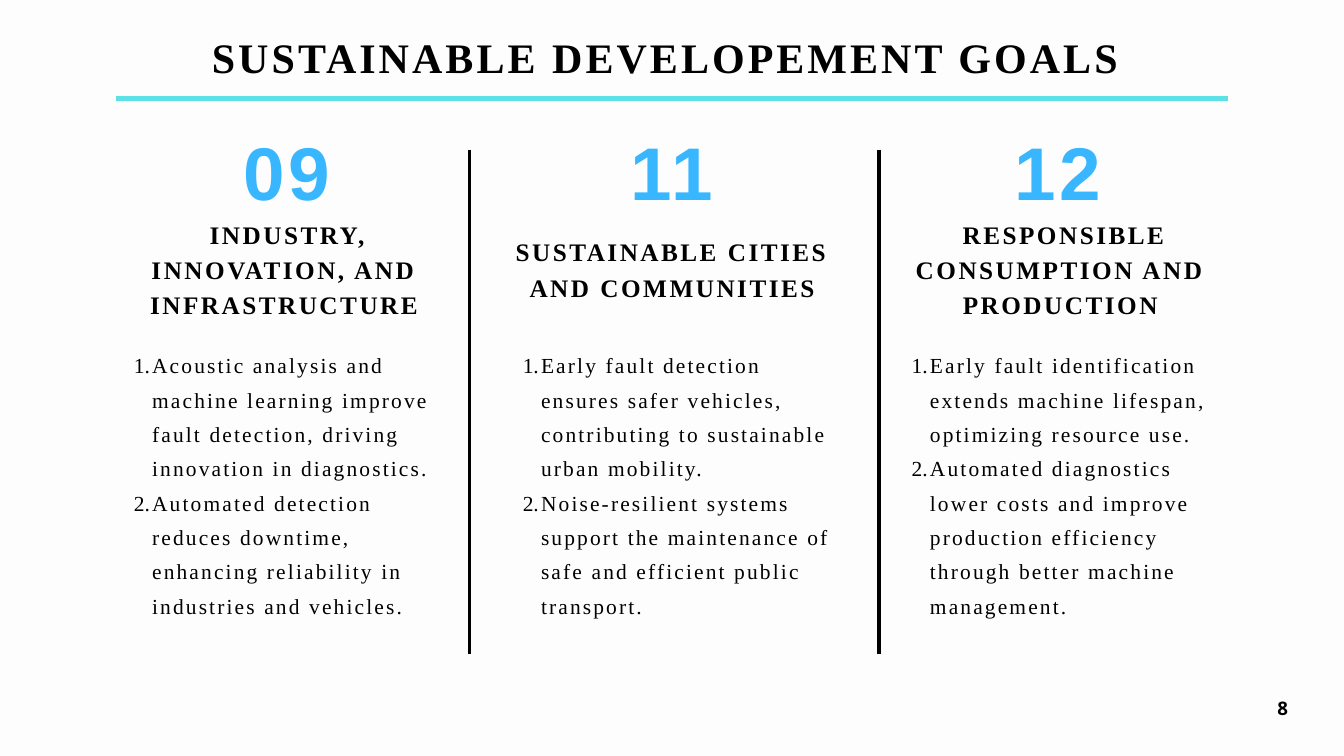
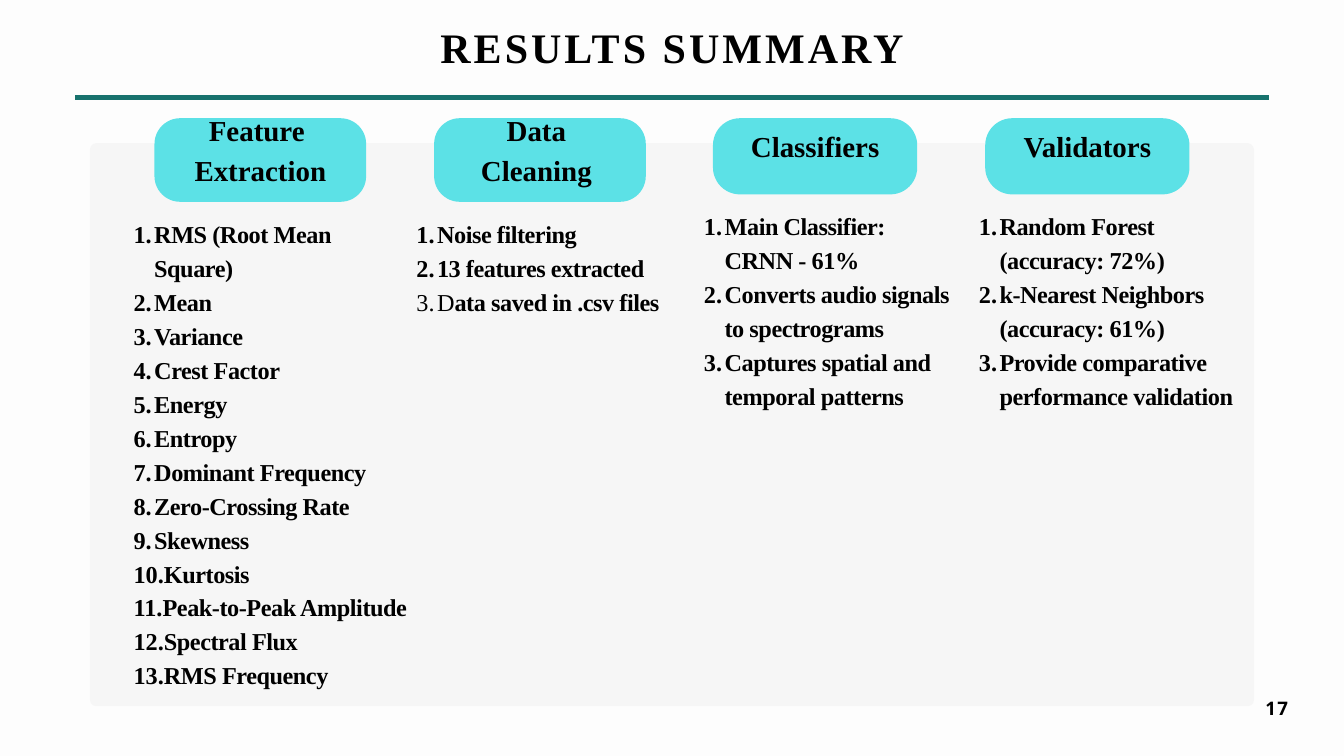
"""Builds the development goals slide and the results summary slide."""
from dataclasses import dataclass
from typing import Sequence

from lxml import etree
from pptx import Presentation
from pptx.dml.color import RGBColor
from pptx.enum.shapes import MSO_CONNECTOR, MSO_SHAPE
from pptx.enum.text import MSO_ANCHOR, MSO_AUTO_SIZE, PP_ALIGN
from pptx.oxml.ns import qn
from pptx.slide import Slide
from pptx.util import Cm, Pt

LEFT, CENTER, RIGHT = PP_ALIGN.LEFT, PP_ALIGN.CENTER, PP_ALIGN.RIGHT
TOP, MIDDLE = MSO_ANCHOR.TOP, MSO_ANCHOR.MIDDLE
GROW, FIXED = MSO_AUTO_SIZE.SHAPE_TO_FIT_TEXT, MSO_AUTO_SIZE.NONE
STRAIGHT = MSO_CONNECTOR.STRAIGHT
ROUNDED = MSO_SHAPE.ROUNDED_RECTANGLE

SERIF, SANS, PAGE_FONT = "Times New Roman", "Arial", "Open Sans"
BLACK, PAPER, PANEL = "000000", "FDFDFD", "F6F6F6"
AQUA, TEAL, SKY = "5CE1E6", "17726D", "38B6FF"

SLIDE_WIDTH, SLIDE_HEIGHT = 50.8, 28.58
PLAIN_MARK = "|"


@dataclass(frozen=True)
class Box:
    """Position and size in centimetres."""
    left: float
    top: float
    width: float
    height: float


@dataclass(frozen=True)
class Goal:
    """One development goal with its number, heading and reasons."""
    number: str
    heading: str
    heading_top: float
    heading_height: float
    reasons: tuple[str, ...]
    reasons_height: float


@dataclass(frozen=True)
class Stage:
    """One stage of the results with its pill and numbered list."""
    label: tuple[str, ...]
    pill: Box
    radius: float
    list_box: Box
    items: tuple[str, ...]


GOALS = (
    Goal("09", " INDUSTRY, INNOVATION, AND INFRASTRUCTURE", 8.1, 4.06, (
        "Acoustic analysis and machine learning improve fault detection, "
        "driving innovation in diagnostics.",
        "Automated detection reduces downtime, enhancing reliability in "
        "industries and vehicles."), 10.41),
    Goal("11", "SUSTAINABLE CITIES AND COMMUNITIES", 8.76, 2.74, (
        "Early fault detection ensures safer vehicles, contributing to "
        "sustainable urban mobility.",
        "Noise-resilient systems support the maintenance of safe and "
        "efficient public transport."), 11.71),
    Goal("12", " RESPONSIBLE CONSUMPTION AND PRODUCTION", 8.1, 4.06, (
        "Early fault identification extends machine lifespan, optimizing "
        "resource use.",
        "Automated diagnostics lower costs and improve production "
        "efficiency through better machine management."), 10.41),
)

STAGES = (
    Stage(("Feature ", "Extraction"), Box(5.84, 4.47, 8, 3.16), 0.97,
          Box(4.27, 8.1, 11.18, 17.88), (
              "RMS (Root Mean Square)", "Mean", "Variance", "Crest Factor",
              "Energy", "Entropy", "Dominant Frequency",
              "Zero-Crossing Rate", "Skewness", "Kurtosis",
              "Peak-to-Peak Amplitude", "Spectral Flux", "RMS Frequency")),
    Stage(("Data ", "Cleaning "), Box(16.41, 4.47, 8, 3.16), 0.97,
          Box(14.96, 8.1, 10.44, 5.18), (
              "Noise filtering", "13 features extracted",
              "D|ata saved in .csv files")),
    Stage(("Classifiers",), Box(26.95, 4.47, 7.72, 2.88), 1.02,
          Box(25.83, 7.82, 10.26, 7.72), (
              "Main Classifier: CRNN - 61%",
              "Converts audio signals to spectrograms",
              "Captures spatial and temporal patterns")),
    Stage(("Validators",), Box(37.24, 4.47, 7.72, 2.88), 1.02,
          Box(36.22, 7.82, 11.18, 8.99), (
              "Random Forest (accuracy: 72%)",
              "k-Nearest Neighbors (accuracy: 61%)",
              "Provide comparative performance validation")),
)


def color(value: str) -> RGBColor:
    """Turn a hex string into a colour."""
    return RGBColor.from_string(value)


def add_text(slide: Slide, box: Box, lines: Sequence[str], *, size: float,
             leading: float, font: str = SERIF, fill: str = BLACK,
             bold: bool = True, spacing: float = 0,
             align: PP_ALIGN = CENTER, anchor: MSO_ANCHOR = TOP,
             fit: MSO_AUTO_SIZE = GROW, wrap: bool = True,
             indent: float = 0) -> None:
    """Add a text box; an indent numbers its lines."""
    shape = slide.shapes.add_textbox(
        Cm(box.left), Cm(box.top), Cm(box.width), Cm(box.height))
    frame = shape.text_frame
    frame.margin_left = frame.margin_right = Cm(0)
    frame.margin_top = frame.margin_bottom = Cm(0)
    frame.word_wrap = wrap
    frame.auto_size = fit
    frame.vertical_anchor = anchor
    for index, line in enumerate(lines):
        paragraph = frame.add_paragraph() if index else frame.paragraphs[0]
        paragraph.alignment = align
        paragraph.line_spacing = Pt(leading)
        if indent:
            paragraph.level = 1
            properties = paragraph._p.get_or_add_pPr()
            properties.set("marL", str(Cm(2 * indent)))
            properties.set("indent", str(-Cm(indent)))
            etree.SubElement(properties, qn("a:buAutoNum"), type="arabicPeriod")
        plain, _, rest = line.rpartition(PLAIN_MARK)
        for text, weight in ((plain, False), (rest, bold)):
            if not text:
                continue
            run = paragraph.add_run()
            run.text = text
            run.font.name = font
            run.font.size = Pt(size)
            run.font.bold = weight
            run.font.color.rgb = color(fill)
            run._r.get_or_add_rPr().set("spc", str(round(spacing * 100)))


def add_line(slide: Slide, start: tuple[float, float],
             end: tuple[float, float], stroke: str, width: float) -> None:
    """Add a straight line without a shadow."""
    connector = slide.shapes.add_connector(
        STRAIGHT, Cm(start[0]), Cm(start[1]), Cm(end[0]), Cm(end[1]))
    connector.line.color.rgb = color(stroke)
    connector.line.width = Pt(width)
    etree.SubElement(connector._element.spPr, qn("a:effectLst"))


def add_rounded(slide: Slide, box: Box, radius: float, fill: str) -> None:
    """Add a filled rectangle with rounded corners and no outline."""
    shape = slide.shapes.add_shape(
        ROUNDED, Cm(box.left), Cm(box.top), Cm(box.width), Cm(box.height))
    shape.adjustments[0] = radius / min(box.width, box.height)
    shape.shadow.inherit = False
    shape.fill.solid()
    shape.fill.fore_color.rgb = color(fill)
    shape.line.fill.background()


def add_slide(presentation: Presentation, title: str, title_box: Box,
              rule_left: float, rule_top: float, rule_color: str,
              page: str) -> Slide:
    """Add a blank slide with background, title, rule and page number."""
    slide = presentation.slides.add_slide(presentation.slide_layouts[6])
    slide.background.fill.solid()
    slide.background.fill.fore_color.rgb = color(PAPER)
    add_text(slide, title_box, [title], size=45, leading=63, spacing=3.3)
    add_line(slide, (rule_left, rule_top),
             (SLIDE_WIDTH - rule_left, rule_top), rule_color, 6)
    page_width = 0.46 * len(page)
    add_text(slide, Box(48.69 - page_width, 26.09, page_width, 1.02), [page],
             size=20, leading=31, font=PAGE_FONT, spacing=1.5, align=RIGHT,
             wrap=False)
    return slide


def build_goals(presentation: Presentation) -> None:
    """Build the slide with three development goals."""
    margin = 4.37
    slide = add_slide(presentation, "SUSTAINABLE DEVELOPEMENT GOALS ",
                      Box(0, 0.89, SLIDE_WIDTH, 2.36), margin, 3.73, AQUA, "8")
    for column, goal in enumerate(GOALS):
        add_text(slide, Box(margin + 14.57 * column, 4.19, 12.93, 3.96),
                 [goal.number], size=80, leading=112, font=SANS, fill=SKY,
                 spacing=4)
        add_text(slide, Box(margin + 14.67 * column, goal.heading_top, 12.73,
                            goal.heading_height),
                 [goal.heading], size=27, leading=37.8, spacing=2.7)
        add_text(slide, Box(margin + 14.7 * column, 13, 12.65,
                            goal.reasons_height),
                 goal.reasons, size=23, leading=36.8, bold=False, spacing=2.3,
                 align=LEFT, indent=0.69)
    for divider in (17.75, 33.22):
        add_line(slide, (divider, 5.66), (divider, 24.74), BLACK, 3.75)


def build_results(presentation: Presentation) -> None:
    """Build the slide with four stages of results."""
    slide = add_slide(presentation, "RESULTS SUMMARY",
                      Box(14.33, 0.51, 22.15, 2.36), 2.84, 3.68, TEAL, "17")
    add_rounded(slide, Box(3.4, 5.41, 44, 21.29), 0.25, PANEL)
    rise = 0.99
    for stage in STAGES:
        pill = stage.pill
        add_rounded(slide, pill, stage.radius, AQUA)
        add_text(slide, Box(pill.left, pill.top - rise, pill.width,
                            pill.height + rise),
                 stage.label, size=31, leading=43.4, anchor=MIDDLE, fit=FIXED)
        add_text(slide, stage.list_box, stage.items, size=26, leading=36.4,
                 spacing=-0.5, align=LEFT, indent=0.78)


def main() -> None:
    """Create the presentation and save it."""
    presentation = Presentation()
    presentation.slide_width = Cm(SLIDE_WIDTH)
    presentation.slide_height = Cm(SLIDE_HEIGHT)
    build_goals(presentation)
    build_results(presentation)
    presentation.save("out.pptx")


if __name__ == "__main__":
    main()
